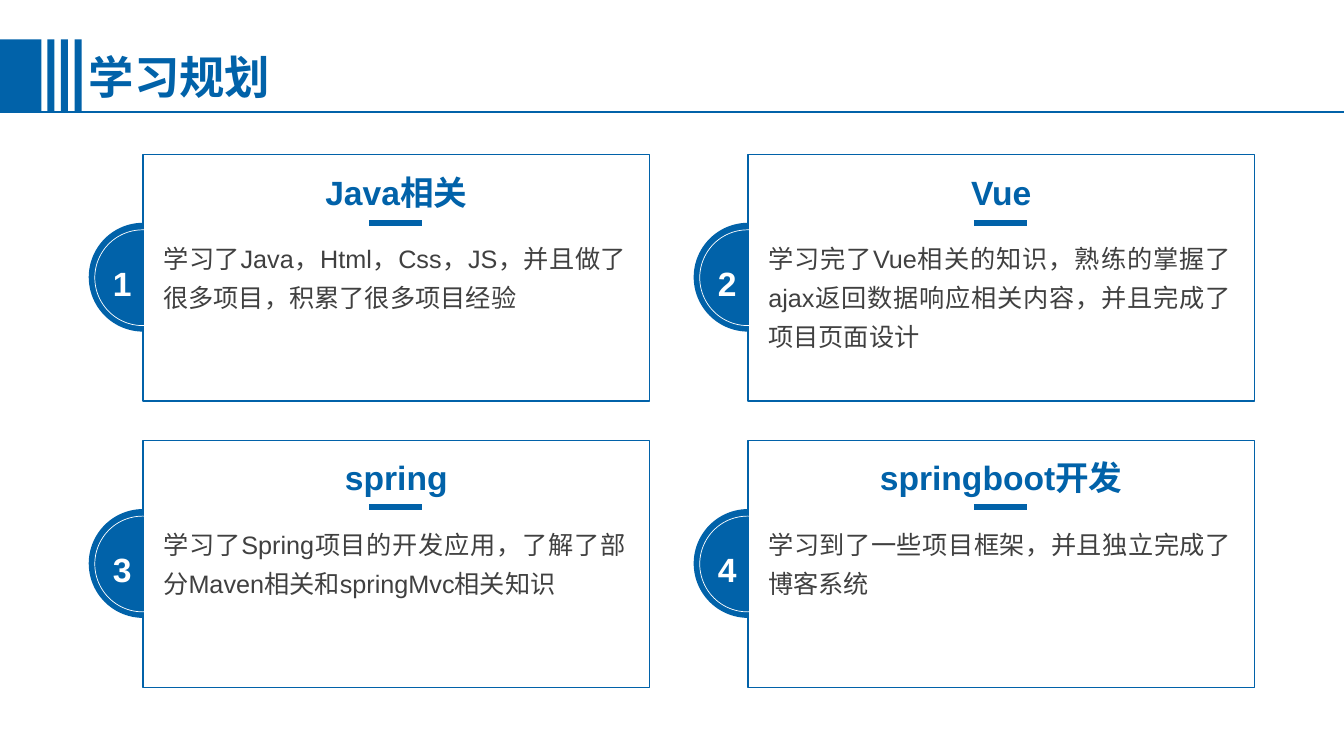
from lxml import etree
from pptx import Presentation
from pptx.dml.color import RGBColor
from pptx.enum.lang import MSO_LANGUAGE_ID as LANG
from pptx.enum.shapes import MSO_CONNECTOR, MSO_SHAPE
from pptx.enum.text import MSO_ANCHOR, PP_ALIGN
from pptx.oxml.ns import qn
from pptx.util import Inches, Pt

COLORS = {"blue": "0162A9", "white": "FFFFFF", "gray": "404040"}
PLANS = [
    ("Java相关", "学习了Java，Html，Css，JS，并且做了很多项目，积累了很多项目经验"),
    ("Vue", "学习完了Vue相关的知识，熟练的掌握了ajax返回数据响应相关内容，并且完成了项目页面设计"),
    ("spring", "学习了Spring项目的开发应用，了解了部分Maven相关和springMvc相关知识"),
    ("springboot开发", "学习到了一些项目框架，并且独立完成了博客系统"),
]
COLUMN_STEP, CARD_STEP, HEADING_STEP = 6.0, 2.84, 2.82


class PlanSlide:
    font = "Arial"

    def __init__(self, prs):
        self.s = prs.slides.add_slide(prs.slide_layouts[6])

    def color(self, name):
        return RGBColor.from_string(COLORS[name])

    def shape(self, kind, x, y, w, h, fill=None, line=None, weight=1):
        sp = self.s.shapes.add_shape(kind, Inches(x), Inches(y), Inches(w), Inches(h))
        sp.shadow.inherit = False
        if fill:
            sp.fill.solid()
            sp.fill.fore_color.rgb = self.color(fill)
        else:
            sp.fill.background()
        if line:
            sp.line.color.rgb = self.color(line)
            sp.line.width = Pt(weight)
        else:
            sp.line.fill.background()

    def rule(self, x1, x2, y, weight):
        """Draw a horizontal blue line."""
        c = self.s.shapes.add_connector(
            MSO_CONNECTOR.STRAIGHT, Inches(x1), Inches(y), Inches(x2), Inches(y))
        c.line.color.rgb = self.color("blue")
        c.line.width = Pt(weight)
        etree.SubElement(c._element.spPr, qn("a:effectLst"))

    def text(self, x, y, w, h, words, size, color, insets=(0, 0, 0, 0), bold=False,
             align=PP_ALIGN.LEFT, anchor=MSO_ANCHOR.TOP, spacing=1.2, after=0):
        """Add a one-paragraph text box; insets run left, top, right, bottom."""
        tf = self.s.shapes.add_textbox(Inches(x), Inches(y), Inches(w), Inches(h)).text_frame
        tf.word_wrap = True
        tf.vertical_anchor = anchor
        tf.margin_left, tf.margin_top, tf.margin_right, tf.margin_bottom = map(Inches, insets)
        p = tf.paragraphs[0]
        p.alignment = align
        p.line_spacing = spacing
        p.space_after = Pt(after)
        r = p.add_run()
        r.text = words
        r.font.name = self.font
        r.font.size = Pt(size)
        r.font.bold = bold
        r.font.color.rgb = self.color(color)
        r.font.language_id = LANG.SIMPLIFIED_CHINESE

    def header(self, title):
        self.rule(0, 13.33, 1.11, 1)
        self.shape(MSO_SHAPE.RECTANGLE, 0, 0.39, 0.41, 0.73, "blue")
        for i in range(3):
            self.shape(MSO_SHAPE.RECTANGLE, 0.47 + i * 0.135, 0.39, 0.07, 0.73, "blue")
        self.text(0.88, 0.43, 9.81, 0.73, title, 32.4, "blue", (0, 0.05, 0.1, 0.05),
                  bold=True, anchor=MSO_ANCHOR.MIDDLE, spacing=0.9)

    def card(self, index, heading, body):
        row, col = divmod(index, 2)
        x = 0.88 + col * COLUMN_STEP
        y = 1.53 + row * CARD_STEP
        heading_y = 1.54 + row * HEADING_STEP
        left = x + 0.54
        self.shape(MSO_SHAPE.OVAL, x, y + 0.68, 1.08, 1.08, "blue")
        self.shape(MSO_SHAPE.RECTANGLE, left, y, 5.02, 2.45, "white", "blue")
        self.shape(MSO_SHAPE.OVAL, x + 0.06, y + 0.75, 0.95, 0.95, line="white", weight=0.5)
        self.text(x + 0.04, y + 0.92, 0.45, 0.62, str(index + 1), 24, "white",
                  (0.2, 0.08, 0.2, 0.2), bold=True)
        self.text(left, heading_y, 5.02, 0.66, heading, 24, "blue", bold=True,
                  align=PP_ALIGN.CENTER, anchor=MSO_ANCHOR.MIDDLE)
        self.rule(left + 2.24, left + 2.77, heading_y + 0.67, 4)
        self.text(left, y + 0.59, 4.99, 1.8, body, 18, "gray", (0.2, 0.2, 0.2, 0.2),
                  align=PP_ALIGN.JUSTIFY, spacing=1.3, after=6)


def main():
    prs = Presentation()
    prs.slide_width, prs.slide_height = Inches(13.33), Inches(7.5)
    slide = PlanSlide(prs)
    slide.header("学习规划")
    for i, (heading, body) in enumerate(PLANS):
        slide.card(i, heading, body)
    prs.save("out.pptx")


if __name__ == "__main__":
    main()
